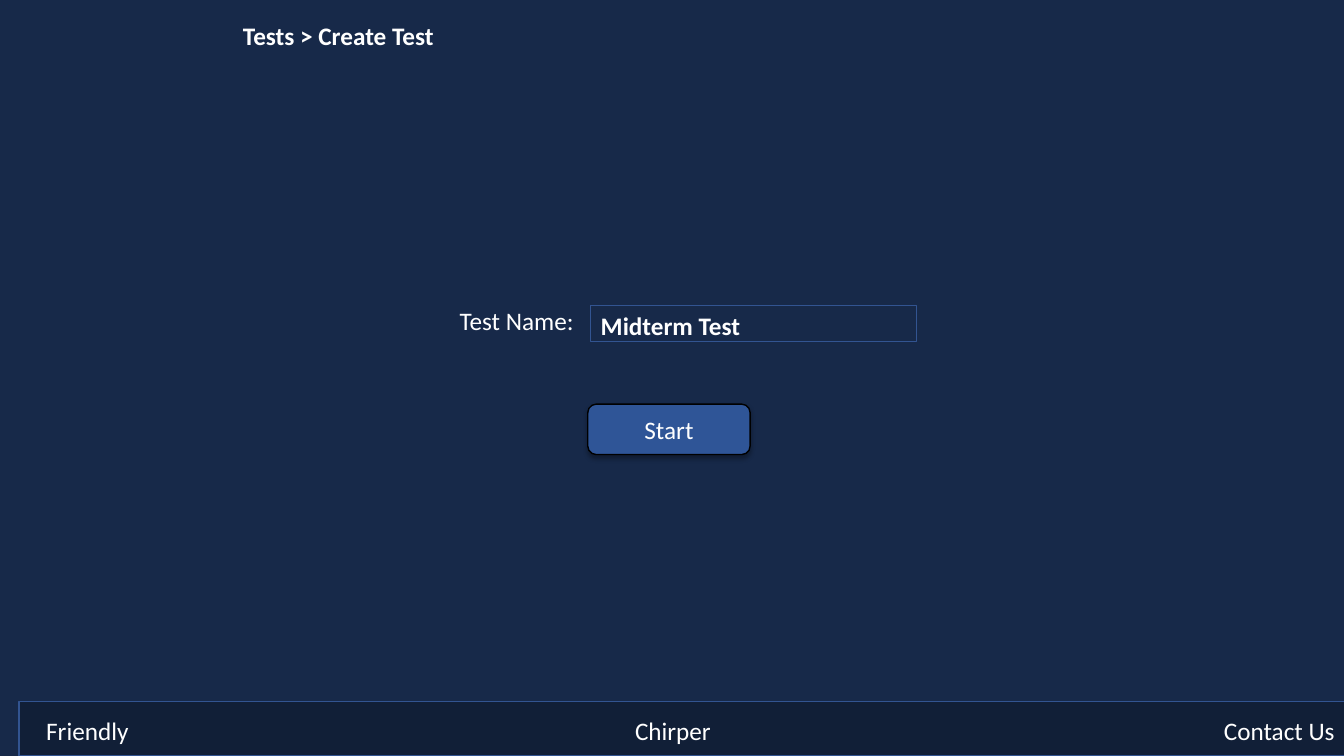
from dataclasses import dataclass

import lxml.etree
import pptx
import pptx.dml.color
import pptx.enum.shapes
import pptx.enum.text
import pptx.oxml.ns
import pptx.util
from pptx.util import Inches

RGBColor = pptx.dml.color.RGBColor
Shape = pptx.enum.shapes.MSO_SHAPE
Anchor = pptx.enum.text.MSO_ANCHOR
Align = pptx.enum.text.PP_ALIGN

NAVY = RGBColor(0x17, 0x29, 0x49)
FOOTER_NAVY = RGBColor(0x11, 0x1F, 0x37)
BORDER_BLUE = RGBColor(0x32, 0x54, 0x91)
BUTTON_BLUE = RGBColor(0x2F, 0x55, 0x97)
BLACK = RGBColor(0, 0, 0)
WHITE = RGBColor(0xFF, 0xFF, 0xFF)


@dataclass
class Box:
    left: float
    top: float
    width: float
    height: float

    def lengths(self) -> tuple:
        return tuple(Inches(v) for v in (self.left, self.top, self.width, self.height))


@dataclass
class Label:
    text: str
    box: Box
    bold: bool = False
    anchor: Anchor = Anchor.TOP


@dataclass
class Panel:
    box: Box
    line: RGBColor
    fill: RGBColor | None = None
    kind: Shape = Shape.RECTANGLE


BREADCRUMB = Label("Tests > Create Test", Box(2.31, 0.15, 2.36, 0.4), bold=True)
NAME_PROMPT = Label("Test Name:", Box(4.46, 2.98, 1.38, 0.4), anchor=Anchor.MIDDLE)
NAME_VALUE = Label("Midterm Test", Box(5.86, 3.03, 2.12, 0.4), bold=True)
FOOTER_LINKS = [
    Label(text, Box(0.36 + 5.84 * i, 7.05, 1.31, 0.4))
    for i, text in enumerate(("Friendly", "Chirper", "Contact Us"))
]

FOOTER_BAR = Panel(Box(0.19, 6.96, 13.33, 0.54), BORDER_BLUE, FOOTER_NAVY)
NAME_FIELD = Panel(Box(5.86, 3.03, 3.23, 0.36), BORDER_BLUE)
START_BUTTON = Panel(Box(5.83, 4.01, 1.61, 0.5), BLACK, BUTTON_BLUE,
                     Shape.ROUNDED_RECTANGLE)


def write_text(shape, text: str, bold: bool, anchor: Anchor, align: Align) -> None:
    frame = shape.text_frame
    frame.word_wrap = True
    frame.vertical_anchor = anchor
    paragraph = frame.paragraphs[0]
    paragraph.alignment = align
    run = paragraph.add_run()
    run.text = text
    run.font.name = "Calibri"
    run.font.size = pptx.util.Pt(18)
    run.font.bold = bold
    run.font.color.rgb = WHITE


def fill_label(shape, label: Label) -> None:
    shape.left, shape.top, shape.width, shape.height = label.box.lengths()
    write_text(shape, label.text, label.bold, label.anchor, Align.LEFT)
    shape.text_frame.auto_size = pptx.enum.text.MSO_AUTO_SIZE.SHAPE_TO_FIT_TEXT


def add_label(slide, label: Label) -> None:
    fill_label(slide.shapes.add_textbox(*label.box.lengths()), label)


def add_panel(slide, panel: Panel):
    shape = slide.shapes.add_shape(panel.kind, *panel.box.lengths())
    shape.shadow.inherit = False
    if panel.fill is None:
        shape.fill.background()
    else:
        shape.fill.solid()
        shape.fill.fore_color.rgb = panel.fill
    shape.line.color.rgb = panel.line
    shape.line.width = pptx.util.Pt(1)
    return shape


def add_drop_shadow(shape) -> None:
    qn = pptx.oxml.ns.qn
    effects = shape.element.spPr.find(qn("a:effectLst"))
    shadow = lxml.etree.SubElement(
        effects, qn("a:outerShdw"), blurRad=str(pptx.util.Pt(3.5)),
        dist=str(pptx.util.Pt(2.2)), dir="5400000", rotWithShape="0")
    color = lxml.etree.SubElement(shadow, qn("a:srgbClr"), val=str(BLACK))
    lxml.etree.SubElement(color, qn("a:alpha"), val="32000")


def main() -> None:
    deck = pptx.Presentation()
    deck.slide_width, deck.slide_height = Inches(13.33), Inches(7.5)
    slide = deck.slides.add_slide(deck.slide_layouts.get_by_name("Title Only"))
    slide.background.fill.solid()
    slide.background.fill.fore_color.rgb = NAVY

    # Breadcrumb title
    fill_label(slide.shapes.title, BREADCRUMB)

    # Footer
    add_panel(slide, FOOTER_BAR)
    for link in FOOTER_LINKS:
        add_label(slide, link)

    # Test form
    add_label(slide, NAME_PROMPT)
    add_panel(slide, NAME_FIELD)
    start = add_panel(slide, START_BUTTON)
    add_drop_shadow(start)
    write_text(start, "Start", False, Anchor.MIDDLE, Align.CENTER)
    add_label(slide, NAME_VALUE)

    deck.save("out.pptx")


if __name__ == "__main__":
    main()
